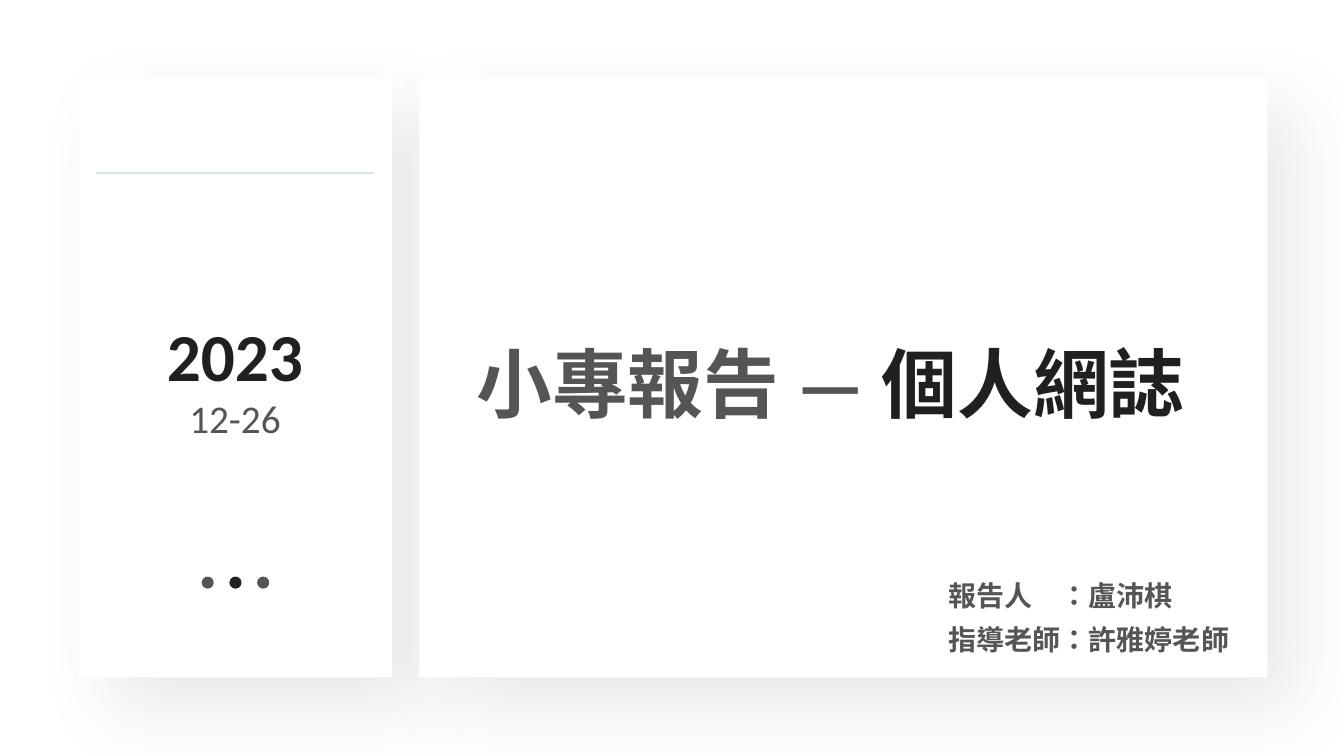
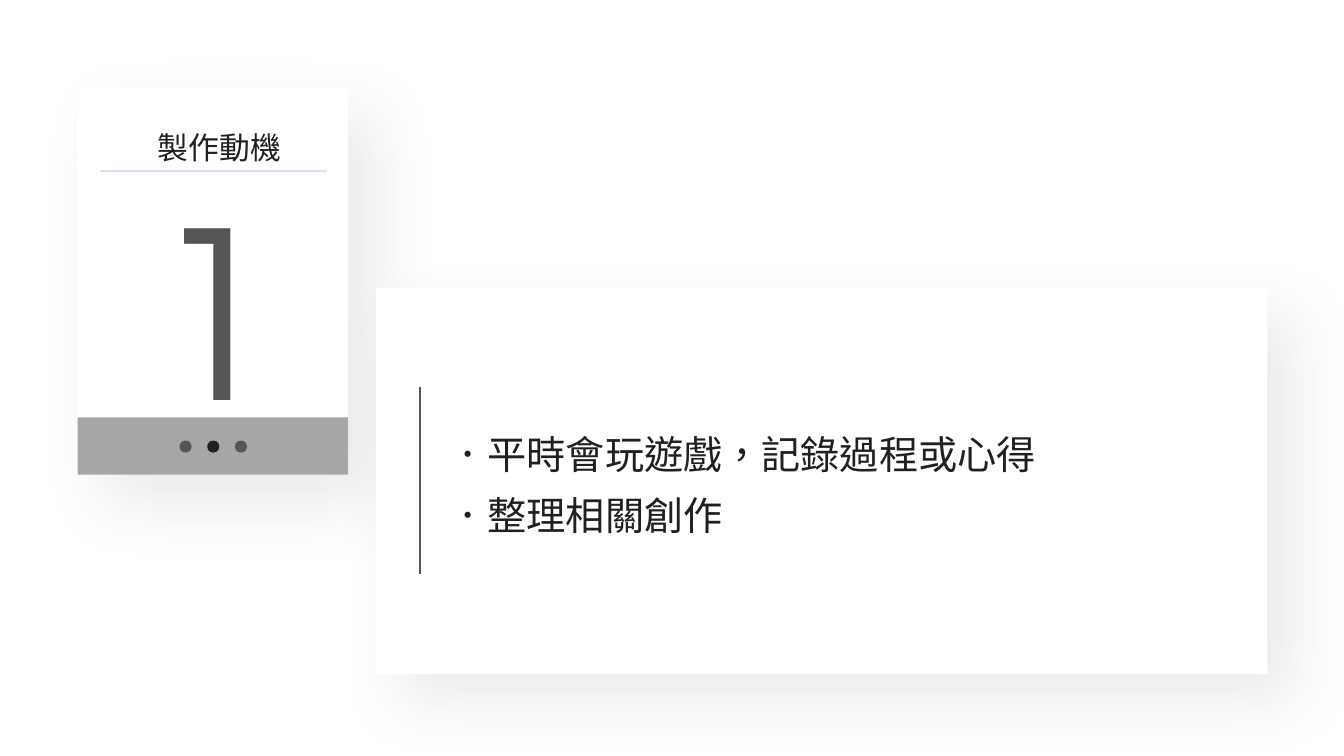
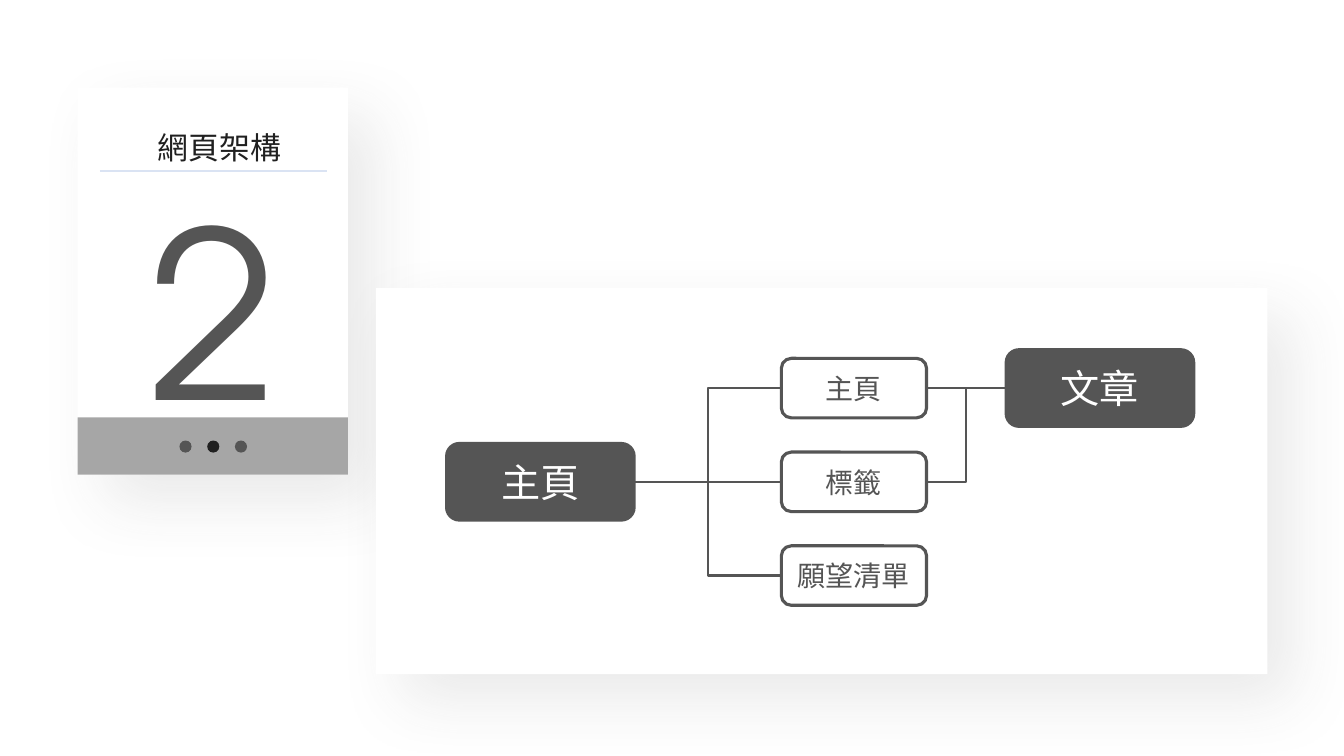
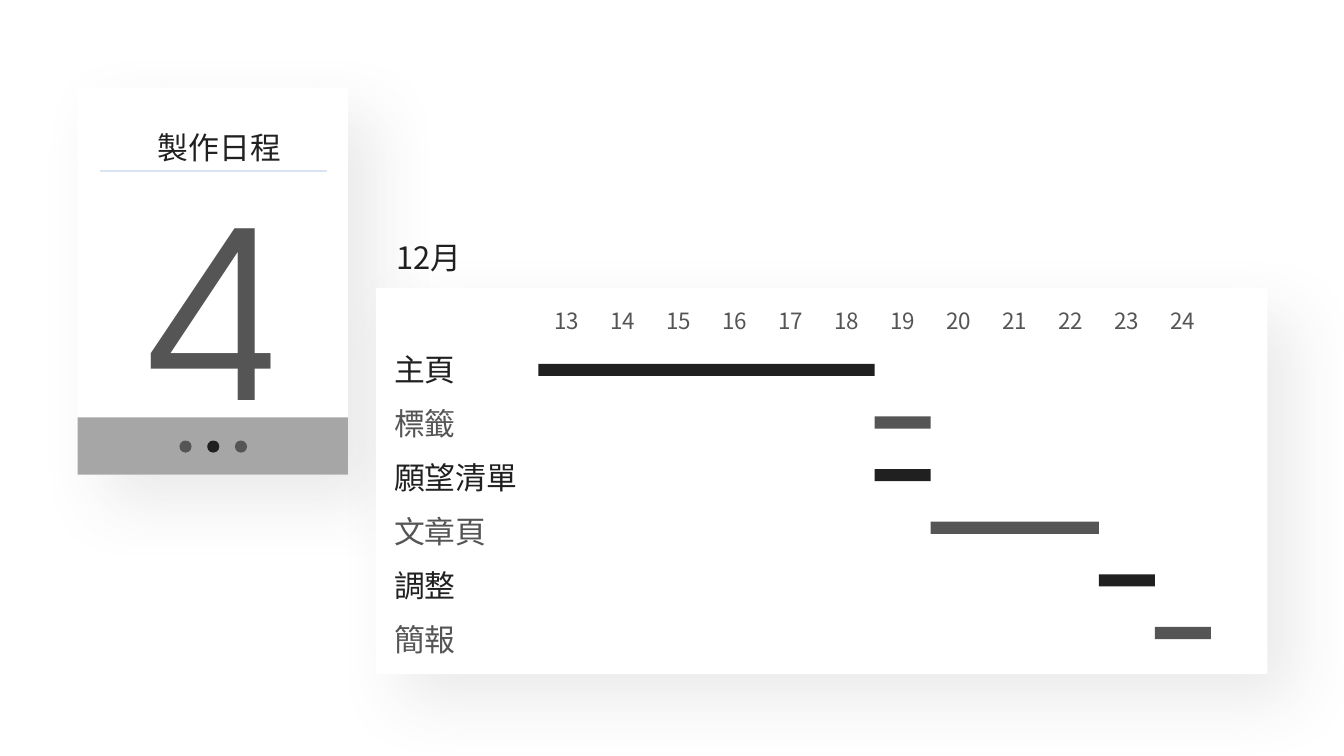
from dataclasses import dataclass

from lxml.etree import SubElement
from pptx import Presentation
from pptx.dml.color import RGBColor
from pptx.enum.shapes import MSO_CONNECTOR, MSO_SHAPE
from pptx.enum.text import MSO_ANCHOR, MSO_AUTO_SIZE, PP_ALIGN
from pptx.oxml.ns import qn
from pptx.util import Inches, Pt


@dataclass(frozen=True)
class Theme:
    white: str = "FFFFFF"
    ink: str = "202020"
    gray: str = "555555"
    band: str = "A6A6A6"
    rule: str = "DAE3F3"
    shadow: str = "404040"
    cjk: str = "Noto Sans CJK SC"
    latin: str = "Calibri"
    numeral: str = "TeX Gyre Adventor"
    title: int = 54
    year: int = 48
    number: int = 166
    body: int = 28
    label: int = 22
    small: int = 20
    day: int = 16
    thin: float = 1.5
    thick: float = 2.25
    leading: float = 1.3


THEME = Theme()
LEFT, RIGHT = 1, 3  # connection sites of a rounded rectangle


def write(frame, paragraphs, align=PP_ALIGN.LEFT, spacing=None, **style):
    """Each paragraph is a list of (text, overrides) runs; style applies to all."""
    for index, runs in enumerate(paragraphs):
        paragraph = frame.add_paragraph() if index else frame.paragraphs[0]
        paragraph.alignment = align
        if spacing:
            paragraph.line_spacing = spacing
        for text, overrides in runs:
            look = {"font": THEME.cjk, "color": THEME.ink, "bold": False, **style, **overrides}
            run = paragraph.add_run()
            run.text = text
            run.font.size = Pt(look["size"])
            run.font.bold = look["bold"]
            run.font.name = look["font"]
            run.font.color.rgb = RGBColor.from_string(look["color"])
            properties = run._r.get_or_add_rPr()
            properties.set("lang", "zh-TW")
            east_asian = SubElement(properties, qn("a:ea"), typeface=look["font"])
            properties.find(qn("a:latin")).addnext(east_asian)


class Deck:
    def __init__(self):
        self.presentation = Presentation()
        self.presentation.slide_width = Inches(13.33)
        self.presentation.slide_height = Inches(7.5)
        self.slide = None

    def new_slide(self):
        self.slide = self.presentation.slides.add_slide(self.presentation.slide_layouts[6])

    def shape(self, kind, left, top, width, height, fill=None, line=None):
        shape = self.slide.shapes.add_shape(
            kind, Inches(left), Inches(top), Inches(width), Inches(height))
        shape.shadow.inherit = False
        if fill:
            shape.fill.solid()
            shape.fill.fore_color.rgb = RGBColor.from_string(fill)
        else:
            shape.fill.background()
        if line:
            shape.line.color.rgb = RGBColor.from_string(line)
            shape.line.width = Pt(THEME.thick)
        else:
            shape.line.fill.background()
        return shape

    def card(self, left, top, width, height, blur=47, distance=27):
        """White panel with a soft shadow; blur and distance are in points."""
        card = self.shape(MSO_SHAPE.RECTANGLE, left, top, width, height, THEME.white)
        effects = card._element.spPr.find(qn("a:effectLst"))
        shadow = SubElement(effects, qn("a:outerShdw"), blurRad=str(Pt(blur)),
                            dist=str(Pt(distance)), dir="2700000", algn="tl", rotWithShape="0")
        color = SubElement(shadow, qn("a:srgbClr"), val=THEME.shadow)
        SubElement(color, qn("a:alpha"), val="11000")

    def text(self, left, top, width, height, paragraphs, anchor=MSO_ANCHOR.TOP, **style):
        """Accepts a plain string or the paragraphs that write() takes."""
        if isinstance(paragraphs, str):
            paragraphs = [[(paragraphs, {})]]
        box = self.slide.shapes.add_textbox(
            Inches(left), Inches(top), Inches(width), Inches(height))
        frame = box.text_frame
        frame.word_wrap = True
        frame.auto_size = MSO_AUTO_SIZE.SHAPE_TO_FIT_TEXT
        frame.vertical_anchor = anchor
        write(frame, paragraphs, **style)

    def line(self, start, end, color=THEME.gray, kind=MSO_CONNECTOR.STRAIGHT):
        connector = self.slide.shapes.add_connector(
            kind, *(Inches(value) for value in (*start, *end)))
        connector.line.color.rgb = RGBColor.from_string(color)
        connector.line.width = Pt(THEME.thin)
        SubElement(connector._element.spPr, qn("a:effectLst"))
        return connector

    def link(self, source, target, kind=MSO_CONNECTOR.ELBOW):
        """Join the right side of source to the left side of target."""
        connector = self.line((0, 0), (1, 1), kind=kind)
        connector.begin_connect(source, RIGHT)
        connector.end_connect(target, LEFT)

    def node(self, left, middle, text, solid=False):
        width, height = (1.86, 0.76) if solid else (1.44, 0.59)
        node = self.shape(MSO_SHAPE.ROUNDED_RECTANGLE, left, middle - height / 2, width, height,
                          THEME.gray if solid else None, THEME.gray)
        node.text_frame.vertical_anchor = MSO_ANCHOR.MIDDLE
        write(node.text_frame, [[(text, {})]], align=PP_ALIGN.CENTER,
              size=THEME.body if solid else THEME.small,
              color=THEME.white if solid else THEME.gray)
        return node

    def dots(self, left, top):
        for index, color in enumerate((THEME.gray, THEME.ink, THEME.gray)):
            self.shape(MSO_SHAPE.OVAL, left + index * 0.275, top, 0.12, 0.12, color)

    def section(self, number, heading):
        """Start a slide with the numbered calendar card and the content card."""
        self.new_slide()
        self.card(0.77, 0.87, 2.68, 3.84)
        self.shape(MSO_SHAPE.RECTANGLE, 0.77, 4.14, 2.68, 0.57, THEME.band)
        self.text(1.02, 1.62, 2.18, 2.89, number, align=PP_ALIGN.CENTER,
                  size=THEME.number, font=THEME.numeral, color=THEME.gray)
        self.line((0.99, 1.7), (3.24, 1.7), THEME.rule)
        self.card(3.73, 2.86, 8.84, 3.83)
        self.dots(1.78, 4.37)
        self.text(0.84, 1.23, 2.67, 0.47, heading, align=PP_ALIGN.CENTER, size=THEME.label)


def build_cover(deck):
    deck.new_slide()
    deck.card(0.78, 0.77, 3.11, 5.95, blur=52, distance=31)
    deck.line((0.95, 1.72), (3.71, 1.72), THEME.rule)
    deck.text(1.29, 3.06, 2.08, 1.38,
              [[("2023", {"size": THEME.year, "bold": True})],
               [("12-26", {"size": THEME.body, "color": THEME.gray})]],
              anchor=MSO_ANCHOR.MIDDLE, align=PP_ALIGN.CENTER, font=THEME.latin)
    deck.dots(2, 5.72)
    deck.card(4.16, 0.77, 8.41, 5.95, blur=52, distance=31)
    deck.text(4.63, 3.02, 8.21, 1.18,
              [[("小專報告 ", {}), ("— ", {"font": THEME.latin}),
                ("個人網誌", {"color": THEME.ink})]],
              spacing=THEME.leading, size=THEME.title, color=THEME.gray, bold=True)
    deck.text(9.31, 5.59, 3.15, 0.93,
              [[("報告人　：盧沛棋", {})], [("指導老師：許雅婷老師", {})]],
              spacing=THEME.leading, size=THEME.small, color=THEME.gray, bold=True)


def build_motivation(deck):
    deck.section("1", "製作動機")
    deck.text(4.35, 4.08, 6.23, 1.27,
              [[("．平時會玩遊戲，記錄過程或心得", {})], [("．整理相關創作", {})]],
              spacing=THEME.leading, size=THEME.body)
    deck.line((4.17, 3.84), (4.17, 5.69))


def build_site_map(deck):
    deck.section("2", "網頁架構")
    top, row = 3.85, 0.93
    home = deck.node(4.43, top + row, "主頁", solid=True)
    pages = [deck.node(7.75, top + index * row, name)
             for index, name in enumerate(("主頁", "標籤", "願望清單"))]
    article = deck.node(9.98, top, "文章", solid=True)
    main_page, tags, wishes = pages
    deck.link(home, main_page)
    deck.link(home, wishes)
    deck.link(home, tags, MSO_CONNECTOR.STRAIGHT)
    deck.link(main_page, article, MSO_CONNECTOR.STRAIGHT)
    branch = deck.line((9.19, top + row), (9.58, top), kind=MSO_CONNECTOR.ELBOW)
    branch.begin_connect(tags, RIGHT)
    branch._element.spPr.find(qn("a:prstGeom")).set("prst", "bentConnector2")


def build_schedule(deck):
    deck.section("4", "製作日程")
    first_day, last_day = 13, 24
    left, day_width = 5.34, 6.67 / (last_day - first_day + 1)
    for day in range(first_day, last_day + 1):
        deck.text(left + (day - first_day) * day_width, 3, day_width, 0.37, str(day),
                  align=PP_ALIGN.CENTER, size=THEME.day, color=THEME.gray)
    deck.text(2.92, 2.32, 2.67, 0.47, "12月", align=PP_ALIGN.CENTER, size=THEME.label)
    tasks = (("主頁", 13, 18), ("標籤", 19, 19), ("願望清單", 19, 19),
             ("文章頁", 20, 22), ("調整", 23, 23), ("簡報", 24, 24))
    label_step, bar_step = 2.68 / 5, 2.61 / 5
    for index, (name, start, end) in enumerate(tasks):
        color = THEME.gray if index % 2 else THEME.ink
        deck.text(3.81, 3.43 + index * label_step, 1.44, 0.47, name,
                  size=THEME.label, color=color)
        deck.shape(MSO_SHAPE.RECTANGLE, left + (start - first_day) * day_width,
                   3.61 + index * bar_step, (end - start + 1) * day_width, 0.12, color)


def main():
    deck = Deck()
    build_cover(deck)
    build_motivation(deck)
    build_site_map(deck)
    build_schedule(deck)
    deck.presentation.save("out.pptx")


if __name__ == "__main__":
    main()
